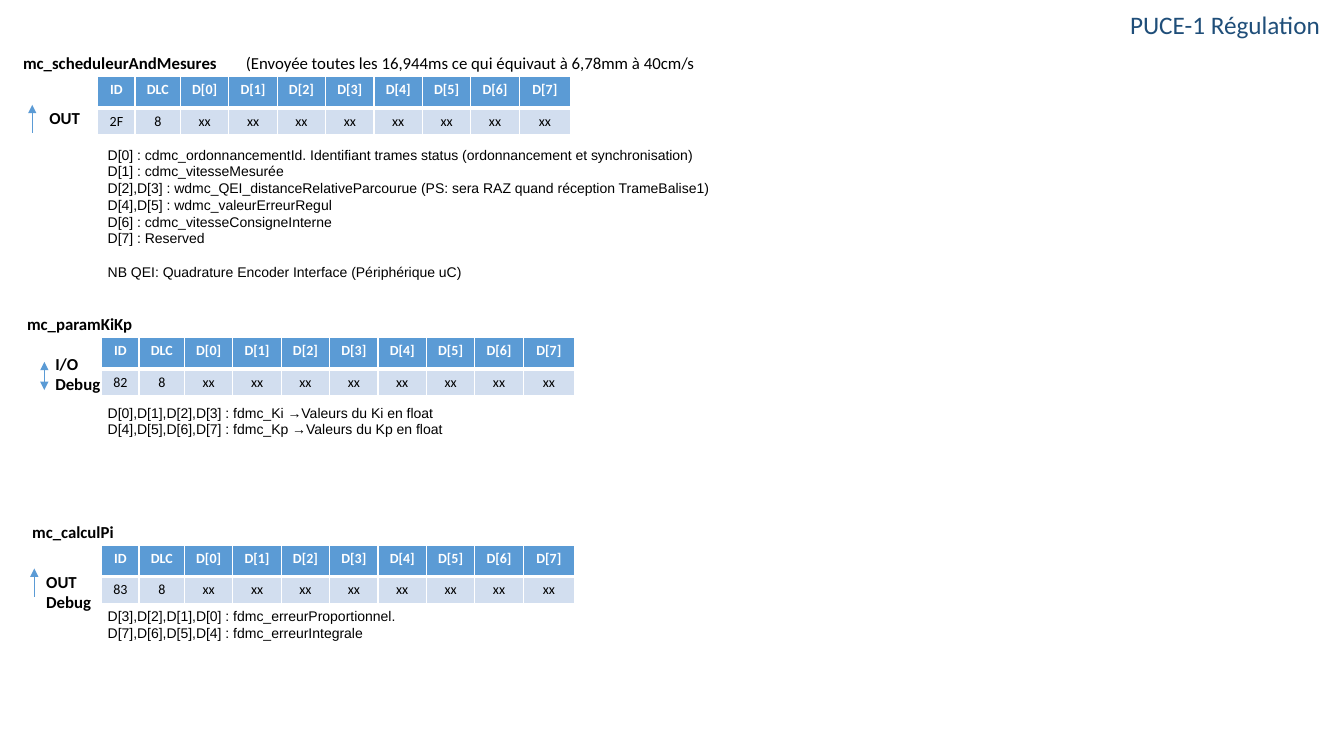
from pptx import Presentation, util as u
from pptx.dml.color import RGBColor
from pptx.enum import shapes, text
from pptx.oxml.ns import qn
from lxml import etree

UNIT = u.Inches(0.01)
COLUMNS = [37, 45] + [48] * 7 + [51]
HEADERS = ["ID", "DLC"] + [f"D[{i}]" for i in range(8)]
HEADING = {"size": u.Pt(12), "name": "Calibri", "bold": True}
REMARK = {"size": u.Pt(12), "name": "Calibri", "bold": False}
NOTE = {"size": u.Pt(10), "name": "Arial", "bold": False}
TITLE = {"size": u.Pt(18), "name": "Calibri", "bold": False}
HEAD_CELL = {"size": u.Pt(10), "name": "Calibri", "bold": True}
BODY_CELL = {"size": u.Pt(10), "name": "Calibri", "bold": False}

FRAMES = [
    {"box": (97, 76), "name": "mc_scheduleurAndMesures", "name_at": (-84, -29, 215, 30),
     "remark": "(Envoyée toutes les 16,944ms ce qui équivaut à 6,78mm à 40cm/s",
     "id": "2F", "arrow_at": (-65, 28), "heads": ["headEnd"],
     "label": ["OUT"], "label_at": (-58, 26, 51, 30), "notes_at": (0, 64, 618, 145),
     "notes": ["D[0] : cdmc_ordonnancementId. Identifiant trames status (ordonnancement et synchronisation)",
               "D[1] : cdmc_vitesseMesurée",
               "D[2],D[3] : wdmc_QEI_distanceRelativeParcourue (PS: sera RAZ quand réception TrameBalise1)",
               "D[4],D[5] : wdmc_valeurErreurRegul",
               "D[6] : cdmc_vitesseConsigneInterne",
               "D[7] : Reserved"],
     "footnote": "NB QEI: Quadrature Encoder Interface (Périphérique uC)"},
    {"box": (101, 335), "name": "mc_paramKiKp", "name_at": (-84, -29, 126, 30),
     "id": "82", "arrow_at": (-57, 24), "heads": ["headEnd", "tailEnd"],
     "label": ["I/O", "Debug"], "label_at": (-56, 11, 66, 50), "notes_at": (-4, 61, 359, 44),
     "notes": ["D[0],D[1],D[2],D[3] : fdmc_Ki →Valeurs du Ki en float",
               "D[4],D[5],D[6],D[7] : fdmc_Kp →Valeurs du Kp en float"]},
    {"box": (101, 541), "name": "mc_calculPi", "name_at": (-79, -28, 102, 30),
     "id": "83", "arrow_at": (-67, 23), "heads": ["headEnd"],
     "label": ["OUT", "Debug"], "label_at": (-65, 21, 66, 50), "notes_at": (-4, 57, 315, 44),
     "notes": ["D[3],D[2],D[1],D[0] : fdmc_erreurProportionnel.",
               "D[7],D[6],D[5],D[4] : fdmc_erreurIntegrale"]},
]


def rgb(value):
    return RGBColor.from_string(value)


def grid(*cells):
    return [UNIT * n for n in cells]


def style(font, formats, color):
    for key, value in formats.items():
        setattr(font, key, value)
    font.color.rgb = rgb(color)


def fill_text(tf, lines, formats, color="000000", wrap=False):
    tf.word_wrap = wrap
    tf.auto_size = text.MSO_AUTO_SIZE.SHAPE_TO_FIT_TEXT
    for i, line in enumerate(lines):
        p = tf.paragraphs[0] if i == 0 else tf.add_paragraph()
        r = p.add_run()
        r.text = line
        style(r.font, formats, color)
    return tf


def add_text(s, box, area, lines, formats, wrap=False):
    left, top, width, height = area
    sp = s.shapes.add_textbox(*grid(box[0] + left, box[1] + top, width, height))
    return fill_text(sp.text_frame, lines, formats, wrap=wrap)


def add_borders(cell, bottom):
    tc_pr = cell._tc.get_or_add_tcPr()
    widths = {"lnL": 1, "lnR": 1, "lnT": 1, "lnB": bottom}
    for i, (tag, width) in enumerate(widths.items()):
        ln = etree.Element(qn(f"a:{tag}"), w=str(u.Pt(width)))
        solid = etree.SubElement(ln, qn("a:solidFill"))
        etree.SubElement(solid, qn("a:srgbClr"), val="FFFFFF")
        tc_pr.insert(i, ln)


def add_frame_table(s, box, frame_id):
    table = s.shapes.add_table(2, len(COLUMNS), *grid(*box, sum(COLUMNS), 58)).table
    table.horz_banding = False
    for column, width in zip(table.columns, COLUMNS):
        column.width = UNIT * width
    rows = [
        (31, HEADERS, HEAD_CELL, "FFFFFF", "5B9BD5", 3),
        (25, [frame_id, "8"] + ["xx"] * 8, BODY_CELL, "000000", "D2DEEF", 1),
    ]
    for row, (height, values, formats, color, fill, bottom) in zip(table.rows, rows):
        row.height = UNIT * height
        for cell, value in zip(row.cells, values):
            cell.fill.solid()
            cell.fill.fore_color.rgb = rgb(fill)
            p = cell.text_frame.paragraphs[0]
            p.alignment = text.PP_ALIGN.CENTER
            r = p.add_run()
            r.text = value
            style(r.font, formats, color)
            add_borders(cell, bottom)


def add_arrow(s, box, at, heads):
    x, y = box[0] + at[0], box[1] + at[1]
    line = s.shapes.add_connector(shapes.MSO_CONNECTOR.STRAIGHT, *grid(x, y, x, y + 28))
    line.line.color.rgb = rgb("5B9BD5")
    line.line.width = u.Pt(0.5)
    ln = line.line._get_or_add_ln()
    for head in heads:
        etree.SubElement(ln, qn(f"a:{head}"), type="triangle")
    etree.SubElement(line._element.spPr, qn("a:effectLst"))


def add_frame(s, frame):
    box = frame["box"]
    add_text(s, box, frame["name_at"], [frame["name"]], HEADING)
    if "remark" in frame:
        add_text(s, box, (137, -29, 469, 30), [frame["remark"]], REMARK, wrap=True)
    add_frame_table(s, box, frame["id"])
    add_arrow(s, box, frame["arrow_at"], frame["heads"])
    add_text(s, box, frame["label_at"], frame["label"], HEADING)
    footnotes = [frame["footnote"]] if "footnote" in frame else []
    tf = add_text(s, box, frame["notes_at"], frame["notes"] + footnotes, NOTE)
    for p in tf.paragraphs:
        p.line_spacing = u.Pt(12)
    if footnotes:
        tf.paragraphs[-1].space_before = u.Pt(12)


def add_title(s, area):
    title = s.shapes.title
    title.left, title.top, title.width, title.height = grid(*area)
    tf = fill_text(title.text_frame, ["PUCE-1 Régulation"], TITLE, "1F4E79")
    tf.vertical_anchor = text.MSO_ANCHOR.TOP
    tf.paragraphs[0].alignment = text.PP_ALIGN.CENTER


def main():
    prs = Presentation()
    prs.slide_width, prs.slide_height = grid(1333, 750)
    s = prs.slides.add_slide(prs.slide_layouts[5])
    add_title(s, (1107, 4, 216, 40))
    for frame in FRAMES:
        add_frame(s, frame)
    prs.save("out.pptx")


if __name__ == "__main__":
    main()
